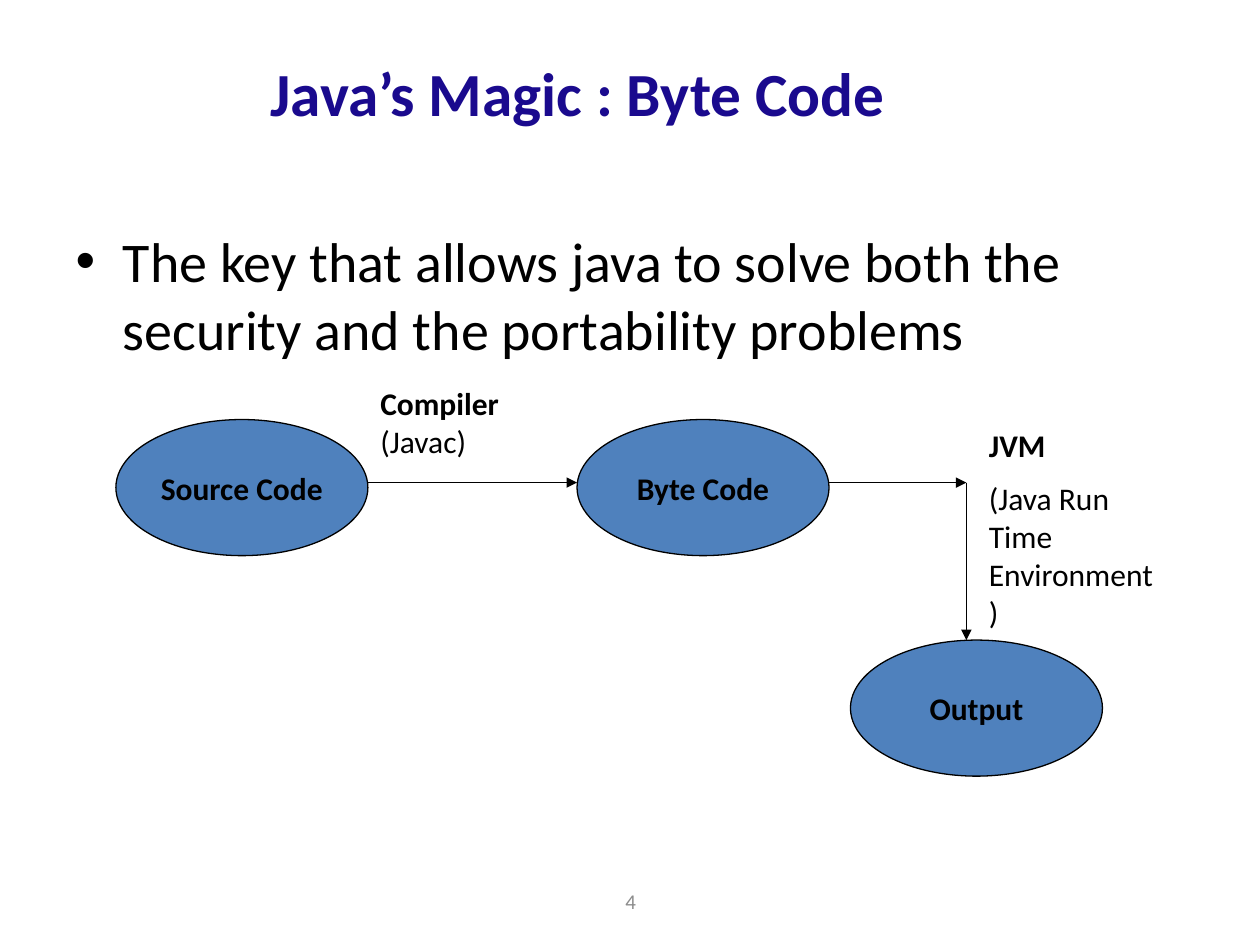
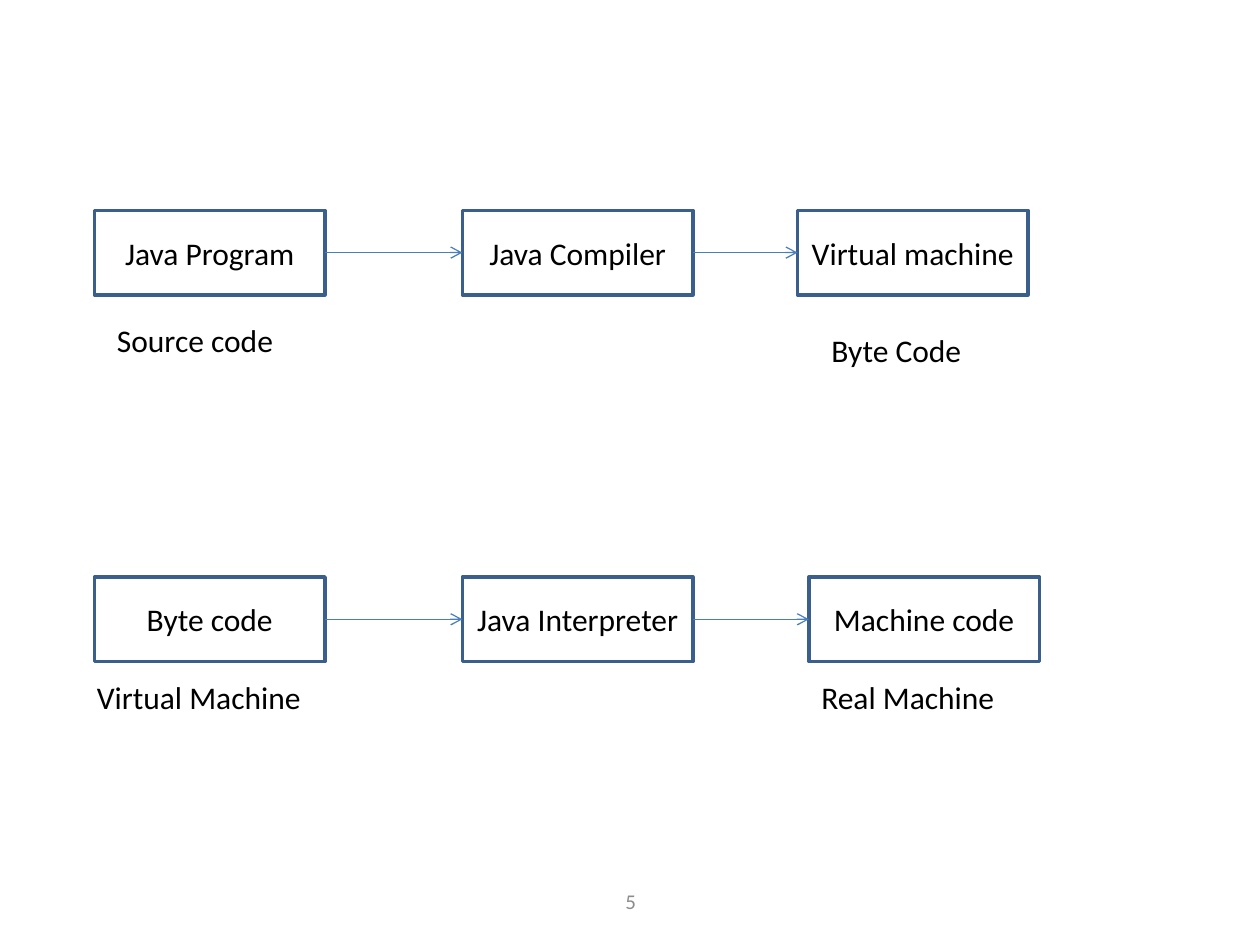
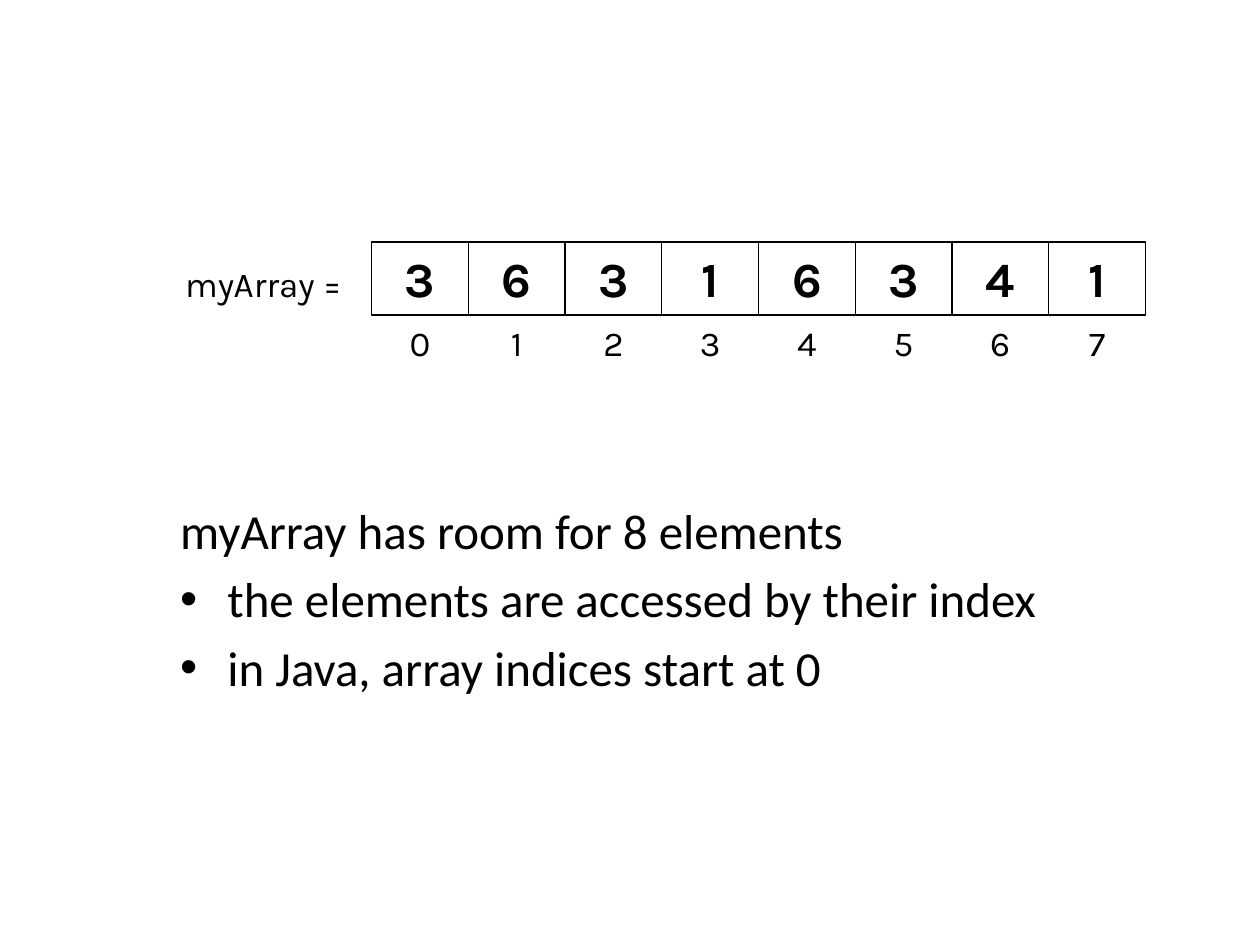
from dataclasses import dataclass
from itertools import pairwise

from lxml import etree
from pptx import Presentation
from pptx.dml.color import RGBColor
from pptx.enum.shapes import MSO_CONNECTOR, MSO_SHAPE
from pptx.enum.text import MSO_ANCHOR, MSO_AUTO_SIZE, PP_ALIGN
from pptx.oxml.ns import qn
from pptx.util import Inches, Pt

OVAL, RECT = MSO_SHAPE.OVAL, MSO_SHAPE.RECTANGLE
STRAIGHT = MSO_CONNECTOR.STRAIGHT
TOP, MIDDLE = MSO_ANCHOR.TOP, MSO_ANCHOR.MIDDLE
LEFT, CENTER = PP_ALIGN.LEFT, PP_ALIGN.CENTER
GROW, FIXED = MSO_AUTO_SIZE.SHAPE_TO_FIT_TEXT, MSO_AUTO_SIZE.NONE

BLACK = RGBColor(0x00, 0x00, 0x00)
NAVY = RGBColor(0x1A, 0x0A, 0x8E)
BLUE = RGBColor(0x4F, 0x81, 0xBD)
STEEL = RGBColor(0x3A, 0x5F, 0x8C)
SKY = RGBColor(0x4B, 0x7E, 0xBC)
GREY = RGBColor(0x8C, 0x8C, 0x8C)

# Text formats
PLAIN = {"name": "Calibri", "size": Pt(18), "bold": False}
BOLD = PLAIN | {"bold": True}
TITLE = BOLD | {"size": Pt(35)}
BODY = PLAIN | {"size": Pt(32)}
LIST = PLAIN | {"size": Pt(28)}
PAGE = PLAIN | {"size": Pt(12)}
INDEX = {"name": "Karla", "size": Pt(20), "bold": False}
VALUE = INDEX | {"size": Pt(28), "bold": True}

# Frame formats
LABEL = {"word_wrap": True, "auto_size": GROW, "vertical_anchor": TOP}
BOX = {"word_wrap": True, "auto_size": FIXED, "vertical_anchor": MIDDLE}
NODE = BOX | {"word_wrap": False}


@dataclass
class Area:
    x: float
    y: float
    w: float
    h: float

    @property
    def mid(self) -> float:
        return self.y + self.h / 2

    @property
    def lengths(self) -> list:
        return [Inches(n) for n in (self.x, self.y, self.w, self.h)]


@dataclass
class Look:
    kind: int
    fill: RGBColor | None
    line: RGBColor
    width: float
    frame: dict
    font: dict
    gap: float = 0


@dataclass
class Step:
    text: str
    x: float


OVALS = Look(OVAL, BLUE, BLACK, 0.75, NODE, BOLD)
STEPS = Look(RECT, None, STEEL, 2, BOX, PLAIN)
CELLS = Look(RECT, None, BLACK, 0.75, LABEL, VALUE, 14)


def apply(item, values: dict) -> None:
    for name, value in values.items():
        setattr(item, name, value)


def write(para, text: str, form: dict, color: RGBColor = BLACK) -> None:
    run = para.add_run()
    run.text = text
    apply(run.font, form)
    run.font.color.rgb = color


def fill_text(frame, lines: list, align=LEFT, color=BLACK, gap: float = 0) -> None:
    """Write lines, each a list of (text, format) runs."""
    for i, line in enumerate(lines):
        para = frame.add_paragraph() if i else frame.paragraphs[0]
        apply(para, {"alignment": align, "space_before": Pt(gap)})
        for text, form in line:
            write(para, text, form, color)


def add_label(shapes, area: Area, lines: list, frame=LABEL, **opts) -> None:
    box = shapes.add_textbox(*area.lengths)
    apply(box.text_frame, frame)
    fill_text(box.text_frame, lines, **opts)


def add_box(shapes, area: Area, text: str, look: Look) -> None:
    box = shapes.add_shape(look.kind, *area.lengths)
    box.shadow.inherit = False
    if look.fill is None:
        box.fill.background()
    else:
        box.fill.solid()
        box.fill.fore_color.rgb = look.fill
    box.line.color.rgb = look.line
    box.line.width = Pt(look.width)
    apply(box.text_frame, look.frame)
    fill_text(box.text_frame, [[(text, look.font)]], CENTER, gap=look.gap)


def add_arrow(shapes, ends: tuple, color: RGBColor, head: str) -> None:
    line = shapes.add_connector(STRAIGHT, *[Inches(n) for n in ends])
    line.line.color.rgb = color
    line.line.width = Pt(0.75)
    props = line.element.spPr
    etree.SubElement(props.find(qn("a:ln")), qn("a:tailEnd"), type=head)
    etree.SubElement(props, qn("a:effectLst"))


def place(holder, area: Area) -> None:
    apply(holder, dict(zip(("left", "top", "width", "height"), area.lengths)))
    holder.text_frame.auto_size = FIXED


def add_body(slide, area: Area, lines: list, form: dict) -> list:
    body = slide.placeholders[1]
    place(body, area)
    frame = body.text_frame
    for i, text in enumerate(lines):
        write(frame.add_paragraph() if i else frame.paragraphs[0], text, form)
    return frame.paragraphs


def add_page(slide, number: int) -> None:
    add_label(slide.shapes, Area(3.42, 6.95, 3.17, 0.4), [[(str(number), PAGE)]],
              BOX, align=CENTER, color=GREY)


deck = Presentation()
deck.slide_width, deck.slide_height = Inches(10), Inches(7.5)
CONTENT, BLANK = deck.slide_layouts[1], deck.slide_layouts[6]

# Slide 1: from source code to output
slide = deck.slides.add_slide(CONTENT)
shapes = slide.shapes
add_page(slide, 4)
place(shapes.title, Area(0.5, 0.33, 8.17, 0.8))
fill_text(shapes.title.text_frame, [[("Java’s Magic : Byte Code", TITLE)]], CENTER, NAVY)
add_body(slide, Area(0.5, 1.75, 9, 4.95),
         ["The key that allows java to solve both the security and the portability problems"],
         BODY)
for text, x, y in (("Source Code", 0.92, 3.33), ("Byte Code", 4.58, 3.33),
                   ("Output", 6.75, 5.08)):
    add_box(shapes, Area(x, y, 2, 1.08), text, OVALS)
for ends in ((2.92, 3.83, 4.58, 3.83), (6.58, 3.83, 7.67, 3.83),
             (7.67, 3.83, 7.67, 5.08)):
    add_arrow(shapes, ends, BLACK, "triangle")
add_label(shapes, Area(2.92, 3, 1.5, 0.7),
          [[("Compiler", BOLD), (" (Javac)", PLAIN)]], gap=9)
add_label(shapes, Area(7.75, 3.33, 1.5, 1.75),
          [[("JVM", BOLD)], [("(Java Run Time Environment)", PLAIN)]], gap=9)

# Slide 2: two chains, compile and interpret
slide = deck.slides.add_slide(BLANK)
shapes = slide.shapes
add_page(slide, 5)
CHAINS = {
    1.67: [Step("Java Program", 0.75), Step("Java Compiler", 3.67),
           Step("Virtual machine", 6.33)],
    4.58: [Step("Byte code", 0.75), Step("Java Interpreter", 3.67),
           Step("Machine code", 6.42)],
}
for y, chain in CHAINS.items():
    areas = [Area(step.x, y, 1.83, 0.67) for step in chain]
    for step, area in zip(chain, areas):
        add_box(shapes, area, step.text, STEPS)
    for a, b in pairwise(areas):
        add_arrow(shapes, (a.x + a.w, a.mid, b.x, b.mid), SKY, "arrow")
for text, area in (("Source code", Area(0.83, 2.5, 1.67, 0.4)),
                   ("Byte Code", Area(6.5, 2.58, 1.58, 0.42)),
                   ("Virtual Machine", Area(0.67, 5.33, 2.33, 0.4)),
                   ("Real Machine", Area(6.42, 5.33, 2.25, 0.42))):
    add_label(shapes, area, [[(text, PLAIN)]])

# Slide 3: an array with its indices
slide = deck.slides.add_slide(CONTENT)
title = slide.shapes.title.element
title.getparent().remove(title)
paras = add_body(slide, Area(1.33, 3.92, 8.25, 2.67),
                 ["myArray has room for 8 elements",
                  "the elements are accessed by their index",
                  "in Java, array indices start at 0"], LIST)
etree.SubElement(paras[0]._p.get_or_add_pPr(), qn("a:buNone"))

shapes = slide.shapes.add_group_shape().shapes
values = (3, 6, 3, 1, 6, 3, 4, 1)
start, wide = 2.95, 6.14 / len(values)
add_label(shapes, Area(1.37, 1.92, 1.58, 0.57),
          [[("myArray =", INDEX), (" ", VALUE)]], gap=14)
for i, value in enumerate(values):
    x = start + i * wide
    add_box(shapes, Area(x, 1.92, wide, 0.58), str(value), CELLS)
    add_label(shapes, Area(x, 2.5, wide, 0.44), [[(str(i), INDEX)]],
              align=CENTER, gap=10)

deck.save("out.pptx")
